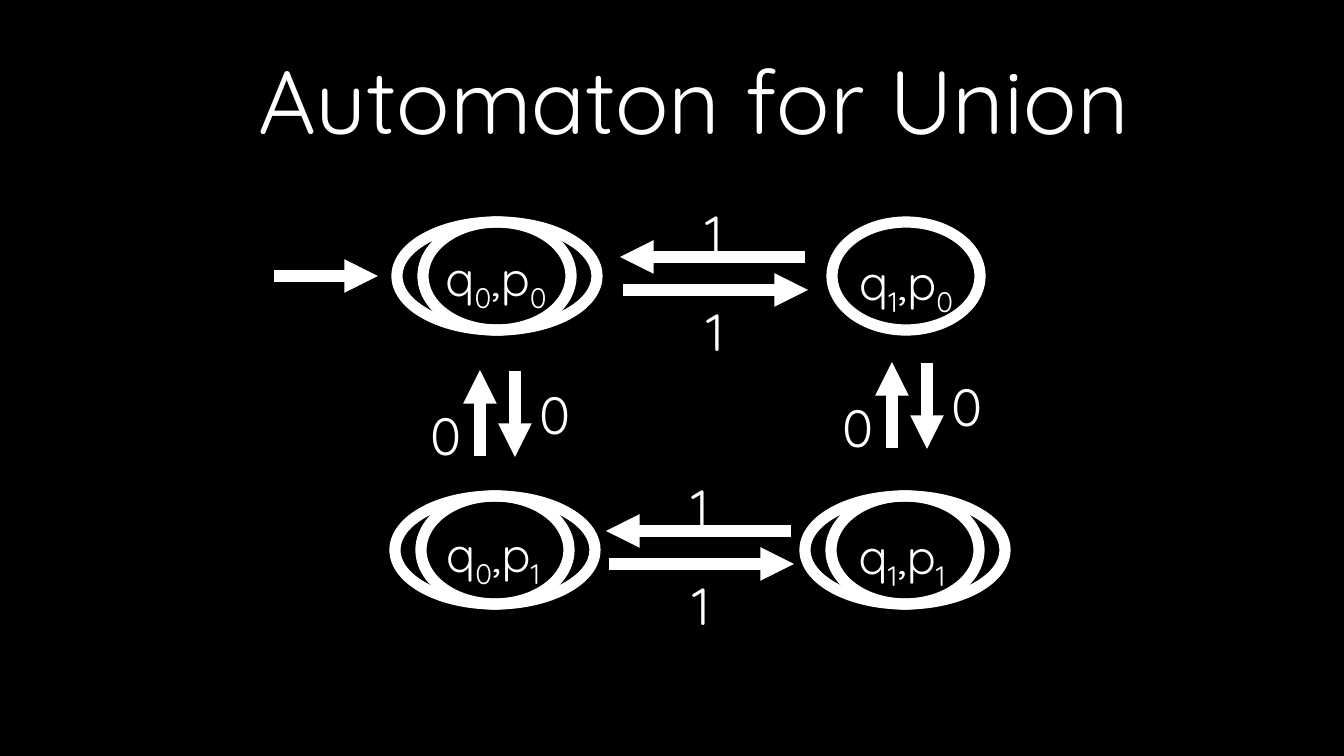
from dataclasses import dataclass
from lxml.etree import SubElement
from pptx import Presentation
from pptx.dml.color import RGBColor as RGB
from pptx.enum.shapes import MSO_CONNECTOR as LINK, MSO_SHAPE as SHAPE
from pptx.enum.text import MSO_AUTO_SIZE as GROW, PP_ALIGN as ALIGN
from pptx.oxml.ns import qn
from pptx.util import Emu, Pt

SCALE = 914400 / 134.4


def px(n):
    return Emu(round(n * SCALE))


@dataclass(frozen=True)
class Theme:
    back: RGB = RGB(0, 0, 0)
    ink: RGB = RGB(255, 255, 255)
    face: str = "Quicksand"
    title: int = 48
    label: int = 28
    state: int = 26
    line: int = 6


class Board:
    def __init__(self, slide, theme):
        self.slide, self.theme = slide, theme
        fill = slide.background.fill
        fill.solid()
        fill.fore_color.rgb = theme.back

    def stroke(self, item):
        item.line.color.rgb = self.theme.ink
        item.line.width = Pt(self.theme.line)

    def ring(self, x, y, w, h=108):
        """Draw an unfilled ellipse centred on x, y."""
        box = map(px, (x - w / 2, y - h / 2, w, h))
        ring = self.slide.shapes.add_shape(SHAPE.OVAL, *box)
        ring.shadow.inherit = False
        ring.fill.background()
        self.stroke(ring)

    def arrow(self, *ends):
        """Draw a line from x1, y1 to an arrowhead at x2, y2."""
        link = self.slide.shapes.add_connector(LINK.STRAIGHT, *map(px, ends))
        self.stroke(link)
        SubElement(link.line._get_or_add_ln(), qn("a:tailEnd"), type="triangle")
        SubElement(link._element.spPr, qn("a:effectLst"))

    def text(self, x, y, w, h, size, parts, wrap=False, inset=13):
        """Centre a text box on x, y; every second part is a subscript."""
        box = map(px, (x - w / 2, y - h / 2, w, h))
        frame = self.slide.shapes.add_textbox(*box).text_frame
        form = {"word_wrap": wrap, "auto_size": GROW.SHAPE_TO_FIT_TEXT,
                "margin_left": px(inset), "margin_right": px(inset)}
        for name, value in form.items():
            setattr(frame, name, value)
        para = frame.paragraphs[0]
        para.alignment = ALIGN.CENTER
        for i, part in enumerate(parts):
            run = para.add_run()
            run.text = part
            for name, value in {"size": Pt(size), "name": self.theme.face}.items():
                setattr(run.font, name, value)
            run.font.color.rgb = self.theme.ink
            if i % 2:
                run._r.get_or_add_rPr().set("baseline", "-25000")

    def label(self, x, y, mark):
        self.text(x, y, 59, 77, self.theme.label, [mark])

    def state(self, x, y, q, p, final, tx, ty):
        self.ring(x, y, 148)
        if final:
            self.ring(x, y, 200)
        self.text(tx, ty, 142, 73, self.theme.state, ["q", q, ",p", p])

    def across(self, x, y):
        """Draw the two moves on 1, the left one ending at x, y."""
        self.arrow(x + 185, y, x, y)
        self.arrow(x + 3, y + 33, x + 188, y + 33)
        self.label(x + 94, y - 24, "1")
        self.label(x + 95, y + 74, "1")

    def down(self, x, y):
        """Draw the two moves on 0, the upward one ending at x, y."""
        self.arrow(x + 35, y + 1, x + 35, y + 87)
        self.arrow(x, y + 86, x, y)
        self.label(x + 75, y + 44, "0")
        self.label(x - 34, y + 65, "0")


def main():
    deck = Presentation()
    deck.slide_width, deck.slide_height = px(1344), px(756)
    theme = Theme()
    board = Board(deck.slides.add_slide(deck.slide_layouts[6]), theme)
    board.text(694, 99, 1261, 122, theme.title, ["Automaton for Union"],
               wrap=True, inset=40)
    for state in (
        (497, 276, "0", "0", True, 496, 278),
        (906, 276, "1", "0", False, 906, 282),
        (495, 550, "0", "1", True, 493, 554),
        (905, 550, "1", "1", True, 902, 556),
    ):
        board.state(*state)
    board.arrow(274, 276, 378, 276)
    for spot in ((620, 257), (606, 531)):
        board.across(*spot)
    for spot in ((480, 370), (892, 362)):
        board.down(*spot)
    deck.save("out.pptx")


if __name__ == "__main__":
    main()
